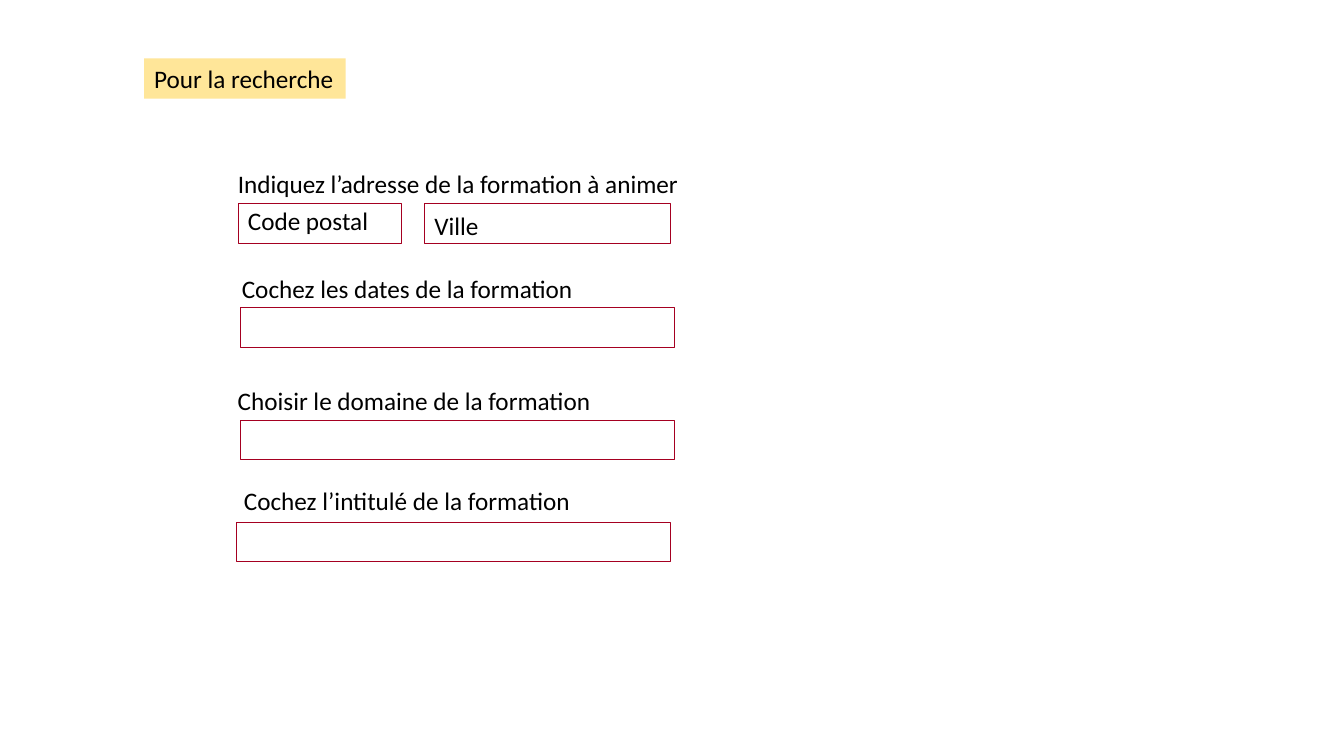
from pptx import Presentation
from pptx.dml.color import RGBColor
from pptx.enum.shapes import MSO_SHAPE
from pptx.enum.text import MSO_AUTO_SIZE, PP_ALIGN
from pptx.util import Inches, Pt

COLORS = {"text": "000000", "field": "A50021", "heading": "FFE699"}
ROW_H = 0.4
FIELD_H = 0.39

prs = Presentation()
prs.slide_width = Inches(13.33)
prs.slide_height = Inches(7.5)
s = prs.slides.add_slide(prs.slide_layouts[6])


def add_text(text, x, y, w, wrap=False):
    sp = s.shapes.add_textbox(Inches(x), Inches(y), Inches(w), Inches(ROW_H))
    tf = sp.text_frame
    tf.word_wrap = wrap
    tf.auto_size = MSO_AUTO_SIZE.SHAPE_TO_FIT_TEXT
    p = tf.paragraphs[0]
    p.text = text
    p.alignment = PP_ALIGN.LEFT
    p.font.name = "Calibri"
    p.font.size = Pt(18)
    p.font.color.rgb = RGBColor.from_string(COLORS["text"])
    return sp


def add_field(x, y, w):
    sp = s.shapes.add_shape(MSO_SHAPE.RECTANGLE, Inches(x), Inches(y),
                            Inches(w), Inches(FIELD_H))
    sp.shadow.inherit = False
    sp.fill.background()
    sp.line.color.rgb = RGBColor.from_string(COLORS["field"])
    sp.line.width = Pt(0.25)


# Heading
heading = add_text("Pour la recherche", 1.43, 0.58, 2)
heading.fill.solid()
heading.fill.fore_color.rgb = RGBColor.from_string(COLORS["heading"])

# Form labels: text, left, top, width
labels = [
    ("Indiquez l’adresse de la formation à animer", 2.26, 1.62, 4.62),
    ("Cochez les dates de la formation", 2.3, 2.66, 3.52),
    ("Choisir le domaine de la formation", 2.26, 3.77, 3.74),
    ("Cochez l’intitulé de la formation", 2.32, 4.77, 3.48),
]
for label in labels:
    add_text(*label)

# Entry fields: left, top, width
fields = [
    (2.36, 2.02, 1.62),
    (4.21, 2.02, 2.44),
    (2.38, 3.05, 4.31),
    (2.38, 4.17, 4.31),
    (2.34, 5.18, 4.31),
]
for field in fields:
    add_field(*field)

# Prompts inside the address fields
add_text("Code postal", 2.36, 1.99, 1.68, wrap=True)
add_text("Ville", 4.21, 2.04, 2.46, wrap=True)

prs.save("out.pptx")
